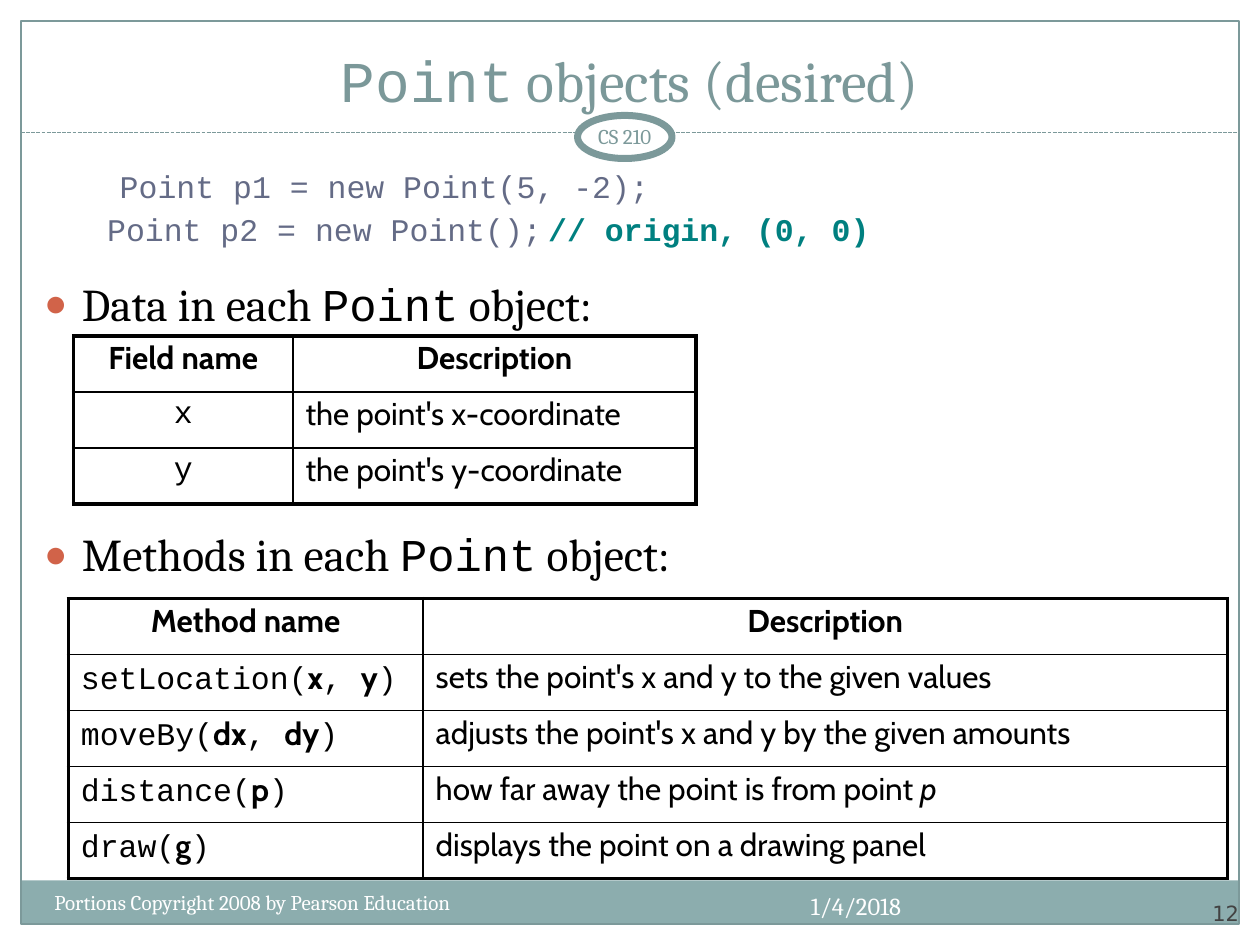
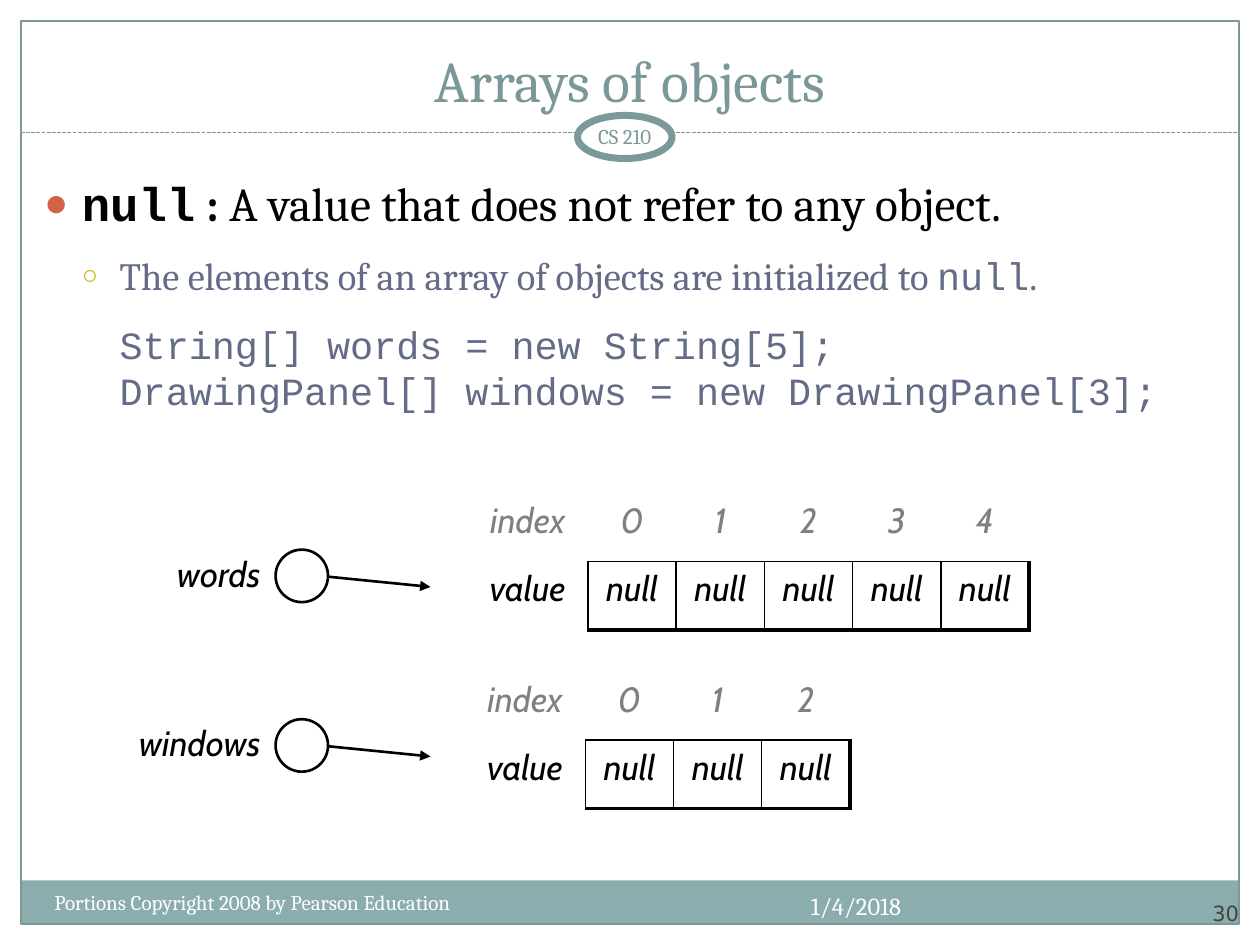
from lxml import etree
from pptx import Presentation
from pptx.dml.color import RGBColor
from pptx.enum.dml import MSO_LINE
from pptx.enum.shapes import MSO_CONNECTOR, MSO_SHAPE
from pptx.enum.text import MSO_ANCHOR, MSO_AUTO_SIZE, PP_ALIGN
from pptx.oxml.ns import qn
from pptx.util import Emu, Inches, Pt

LEFT, CENTER, RIGHT = PP_ALIGN.LEFT, PP_ALIGN.CENTER, PP_ALIGN.RIGHT
TOP, MIDDLE, BOTTOM = MSO_ANCHOR.TOP, MSO_ANCHOR.MIDDLE, MSO_ANCHOR.BOTTOM
RECT, OVAL = MSO_SHAPE.RECTANGLE, MSO_SHAPE.OVAL
STRAIGHT, DASHED = MSO_CONNECTOR.STRAIGHT, MSO_LINE.SQUARE_DOT

COLORS = {
    "white": "FFFFFF", "black": "000000", "band": "8CADAE", "frame": "7C999A",
    "title": "7B9899", "sub": "646B86", "comment": "008080", "number": "424242",
    "index": "808080", "bullet": "D16349", "ring": "CCB400",
}
SERIF, MONO, SANS, DIGITS = "Cambria", "Courier New", "Cabin", "DejaVu Sans"
UNIT = Inches(1) // 12  # a page is 120 columns by 90 rows
THIN, THICK = 1, 2.25
ROW = 5.33

# Span styles: what a run changes against its paragraph
CODE = {"name": MONO}
CODE_BOLD = {"name": MONO, "bold": True}
BOLD = {"bold": True}
ITALIC = {"italic": True}
COMMENT = {"bold": True, "color": "comment"}
ARGUMENT = {"name": SANS, "bold": True}


def style_font(font, name=None, size=None, color=None, bold=None, italic=None):
    if name:
        font.name = name
    if size:
        font.size = Pt(size)
    if color:
        font.color.rgb = RGBColor.from_string(COLORS[color])
    if bold is not None:
        font.bold = bold
    if italic is not None:
        font.italic = italic


class Deck:
    """Holds the style and the current page."""

    def __init__(self):
        self.deck = Presentation()
        self.deck.slide_width, self.deck.slide_height = 120 * UNIT, 90 * UNIT
        self.page = None

    @staticmethod
    def grid(*values):
        return [Emu(round(value * UNIT)) for value in values]

    # Text
    def fill_para(self, para, spans, align=LEFT, before=0, spacing=1.0, **font):
        para.alignment = align
        para.space_before = Pt(before)
        para.line_spacing = spacing
        style_font(para.font, **font)
        for span in [spans] if isinstance(spans, str) else spans:
            text, style = (span, {}) if isinstance(span, str) else span
            run = para.add_run()
            run.text = text
            style_font(run.font, **style)

    def text(self, place, spans, anchor=TOP, inset=None, **style):
        frame = self.page.shapes.add_textbox(*self.grid(*place)).text_frame
        frame.word_wrap = True
        frame.vertical_anchor = anchor
        if inset is not None:
            frame.margin_left = frame.margin_right = Inches(inset)
            frame.margin_top = frame.margin_bottom = Inches(inset)
        self.fill_para(frame.paragraphs[0], spans, **style)

    # Placeholders
    def holder(self, shape, place, anchor):
        shape.left, shape.top, shape.width, shape.height = self.grid(*place)
        frame = shape.text_frame
        frame.word_wrap = True
        frame.auto_size = MSO_AUTO_SIZE.NONE
        frame.vertical_anchor = anchor
        self.page.shapes.element.append(shape.element)  # in front of the frame
        return frame

    def title(self, spans):
        frame = self.holder(self.page.shapes.title, (4, 3, 112, 8.5), BOTTOM)
        self.fill_para(frame.paragraphs[0], spans, align=CENTER,
                       name=SERIF, size=33, color="title")

    def body(self, top, items):
        frame = self.holder(self.page.placeholders[1], (3, top, 114, 67), TOP)
        for number, (kind, spans, style) in enumerate(items):
            para = frame.add_paragraph() if number else frame.paragraphs[0]
            kind(self, para, spans, **style)

    def layout(self, para, margin, indent, level, bullet=None, stops=()):
        para.level = level
        props = para._p.get_or_add_pPr()
        props.set("marL", str(Inches(margin)))
        props.set("indent", str(Inches(indent)))
        if bullet:
            char, color, percent = bullet
            tint = etree.SubElement(props, qn("a:buClr"))
            etree.SubElement(tint, qn("a:srgbClr"), val=COLORS[color])
            etree.SubElement(props, qn("a:buSzPct"), val=str(percent * 1000))
            etree.SubElement(props, qn("a:buChar"), char=char)
        else:
            etree.SubElement(props, qn("a:buNone"))
        if stops:
            tabs = etree.SubElement(props, qn("a:tabLst"))
            for stop in stops:
                etree.SubElement(tabs, qn("a:tab"), pos=str(Inches(stop)), algn="l")

    def point(self, para, spans, size=26, **style):
        self.layout(para, 0.3, -0.3, 0, ("●", "bullet", 85))
        self.fill_para(para, spans, name=SERIF, size=size, color="black", **style)

    def subpoint(self, para, spans, **style):
        self.layout(para, 0.6, -0.3, 1, ("○", "ring", 70))
        self.fill_para(para, spans, name=SERIF, size=22, color="sub", **style)

    def code(self, para, spans, stops=(), **style):
        self.layout(para, 0 if stops else 0.6, 0, 1, stops=stops)
        self.fill_para(para, spans, name=MONO, color="sub", **style)

    # Shapes and lines
    def shape(self, kind, place, fill=None, line=None, width=0.75):
        shape = self.page.shapes.add_shape(kind, *self.grid(*place))
        shape.shadow.inherit = False
        if fill:
            shape.fill.solid()
            shape.fill.fore_color.rgb = RGBColor.from_string(COLORS[fill])
        else:
            shape.fill.background()
        if line:
            shape.line.color.rgb = RGBColor.from_string(COLORS[line])
            shape.line.width = Pt(width)
        else:
            shape.line.fill.background()

    def line(self, ends, color, width, dash=None, arrow=False):
        line = self.page.shapes.add_connector(STRAIGHT, *self.grid(*ends))
        line.line.color.rgb = RGBColor.from_string(COLORS[color])
        line.line.width = Pt(width)
        if dash:
            line.line.dash_style = dash
        props = line.element.spPr
        if arrow:
            etree.SubElement(props.find(qn("a:ln")), qn("a:tailEnd"), type="triangle")
        etree.SubElement(props, qn("a:effectLst"))

    # Tables
    def table(self, left, top, widths, height, rows):
        place = self.grid(left, top, sum(widths), height * len(rows))
        table = self.page.shapes.add_table(len(rows), len(widths), *place).table
        table.first_row = table.horz_banding = False
        for column, width in zip(table.columns, self.grid(*widths)):
            column.width = width
        for number, row in enumerate(rows):
            table.rows[number].height = self.grid(height)[0]
            for column, (spans, style, borders) in enumerate(row):
                cell = table.cell(number, column)
                self.fill_para(cell.text_frame.paragraphs[0], spans, **style)
                cell.fill.background()
                self.borders(cell, borders)

    @staticmethod
    def borders(cell, widths):
        props = cell._tc.get_or_add_tcPr()
        for position, side in enumerate("LRTB"):
            width = widths.get(side, 0)
            edge = etree.Element(qn("a:ln" + side), w=str(Pt(width)))
            if width:
                fill = etree.SubElement(edge, qn("a:solidFill"))
                etree.SubElement(fill, qn("a:srgbClr"), val=COLORS["black"])
            else:
                etree.SubElement(edge, qn("a:noFill"))
            props.insert(position, edge)

    def member_table(self, left, top, widths, headings, members, name_align):
        """Names and descriptions inside a thick outline."""
        base = {"name": SANS, "size": 18, "color": "black", "spacing": 0.9}
        last = len(members)
        rows = []
        for number, row in enumerate([headings, *members]):
            edges = {"T": THIN if number else THICK,
                     "B": THICK if number == last else THIN}
            if number:
                styles = ({**base, "name": MONO, "align": name_align}, base)
            else:
                styles = ({**base, "bold": True, "align": CENTER},) * 2
            rows.append([
                (row[0], styles[0], {**edges, "L": THICK, "R": THIN}),
                (row[1], styles[1], {**edges, "L": THIN, "R": THICK}),
            ])
        self.table(left, top, widths, ROW, rows)

    def array(self, name, count, left, top, name_row):
        """A named reference and the array it points to."""
        base = {"name": SANS, "size": 20, "italic": True}
        grey = {**base, "color": "index", "align": CENTER}
        black = {**base, "color": "black", "align": CENTER}
        indexes = [("index", grey, {})]
        values = [("value", black, {"R": THIN})]
        for number in range(count):
            right = THICK if number == count - 1 else THIN
            indexes.append((str(number), grey, {"B": THIN}))
            values.append(("null", black, {"L": THIN, "T": THIN, "R": right, "B": THICK}))
        self.table(left, top, [11.5] + [8.4] * count, 6.5, [indexes, values])
        self.text((8, name_row, 18, 5.9), name, align=RIGHT, color="black", **base)
        self.line((31, name_row + 2.9, 41, name_row + 3.9), "black", 1.5, arrow=True)
        self.shape(OVAL, (26.25, name_row + 0.35, 5, 5), "white", "black", 1.5)

    # Frame, bands and footers of every page
    def new_page(self, number):
        self.page = self.deck.slides.add_slide(self.deck.slide_layouts[1])
        for margin in ((0, 0, 120, 18.25), (0, 0, 2, 90), (118, 0, 2, 90)):
            self.shape(RECT, margin, "white")
        self.shape(RECT, (2, 83.85, 116, 4.1), "band")
        self.shape(RECT, (2, 2, 116, 86), None, "frame")
        self.line((2, 12.6, 118, 12.6), "frame", 0.75, DASHED)
        self.shape(OVAL, (56, 12.6, 8, 8), "white")
        self.shape(OVAL, (55, 11, 9, 4.1), "white", "frame", 4)
        self.text((108, 83.4, 10, 4.8), str(number), BOTTOM, 0,
                  align=RIGHT, name=DIGITS, size=12, color="number")
        self.text((67, 84.25, 20, 4.8), "1/4/2018",
                  align=RIGHT, name=SERIF, size=14, color="white")
        self.text((4, 84.1, 49, 4.8), "Portions Copyright 2008 by Pearson Education",
                  name=SERIF, size=12, color="white")
        self.text((54, 11, 11, 4), "CS 210", MIDDLE, 0.05,
                  align=CENTER, name=SERIF, size=12, color="frame")


def point_objects(deck):
    deck.new_page(12)
    deck.title([("Point", CODE), " objects (desired)"])
    small = {"size": 18, "spacing": 0.9}
    deck.body(15.7, [
        (Deck.code, "Point p1 = new Point(5, -2);", small),
        (Deck.code, ["\tPoint p2 = new Point();\t", ("// origin, (0, 0)", COMMENT)],
         {**small, "before": 5, "stops": (0.6, 5.55)}),
        (Deck.point, ["Data in each ", ("Point", CODE), " object:"], {"before": 16}),
        (Deck.point, ["Methods in each ", ("Point", CODE), " object:"], {"before": 112}),
    ])
    deck.member_table(6.5, 57, (33.8, 76.6), ("Method name", "Description"), [
        (["setLocation(", ("x", ARGUMENT), ", ", ("y", ARGUMENT), ")"],
         "sets the point's x and y to the given values"),
        (["moveBy(", ("dx", ARGUMENT), ", ", ("dy", ARGUMENT), ")"],
         "adjusts the point's x and y by the given amounts"),
        (["distance(", ("p", ARGUMENT), ")"],
         ["how far away the point is from point ", ("p", ITALIC)]),
        (["draw(", ("g", ARGUMENT), ")"], "displays the point on a drawing panel"),
    ], LEFT)
    deck.member_table(7, 32, (20.9, 38.4), ("Field name", "Description"), [
        ("x", "the point's x-coordinate"),
        ("y", "the point's y-coordinate"),
    ], CENTER)


def arrays_of_objects(deck):
    deck.new_page(30)
    deck.title("Arrays of objects")
    code = {"size": 22, "spacing": 0.8}
    deck.body(16, [
        (Deck.point, [("null", CODE_BOLD), (" : ", BOLD),
                      "A value that does not refer to any object."], {"size": 27}),
        (Deck.subpoint, ["The elements of an array of objects are initialized to ",
                         ("null", CODE), "."], {"before": 12}),
        (Deck.code, "String[] words = new String[5];", {**code, "before": 18}),
        (Deck.code, "DrawingPanel[] windows = new DrawingPanel[3];",
         {**code, "before": 5.5}),
    ])
    deck.array("words", 5, 44.5, 47, 52)
    deck.array("windows", 3, 44.25, 64, 68.15)


def main():
    deck = Deck()
    point_objects(deck)
    arrays_of_objects(deck)
    deck.deck.save("out.pptx")


if __name__ == "__main__":
    main()
